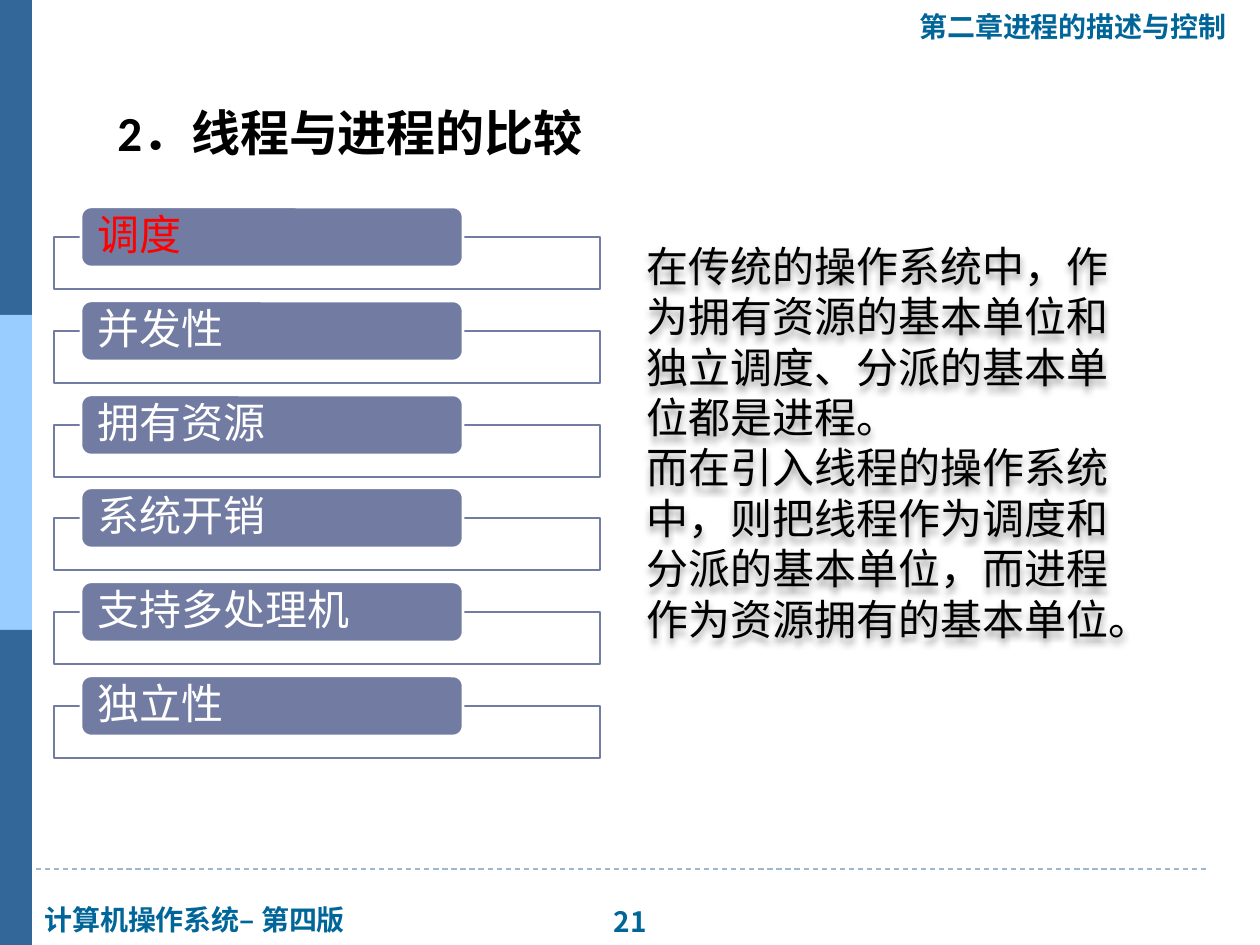
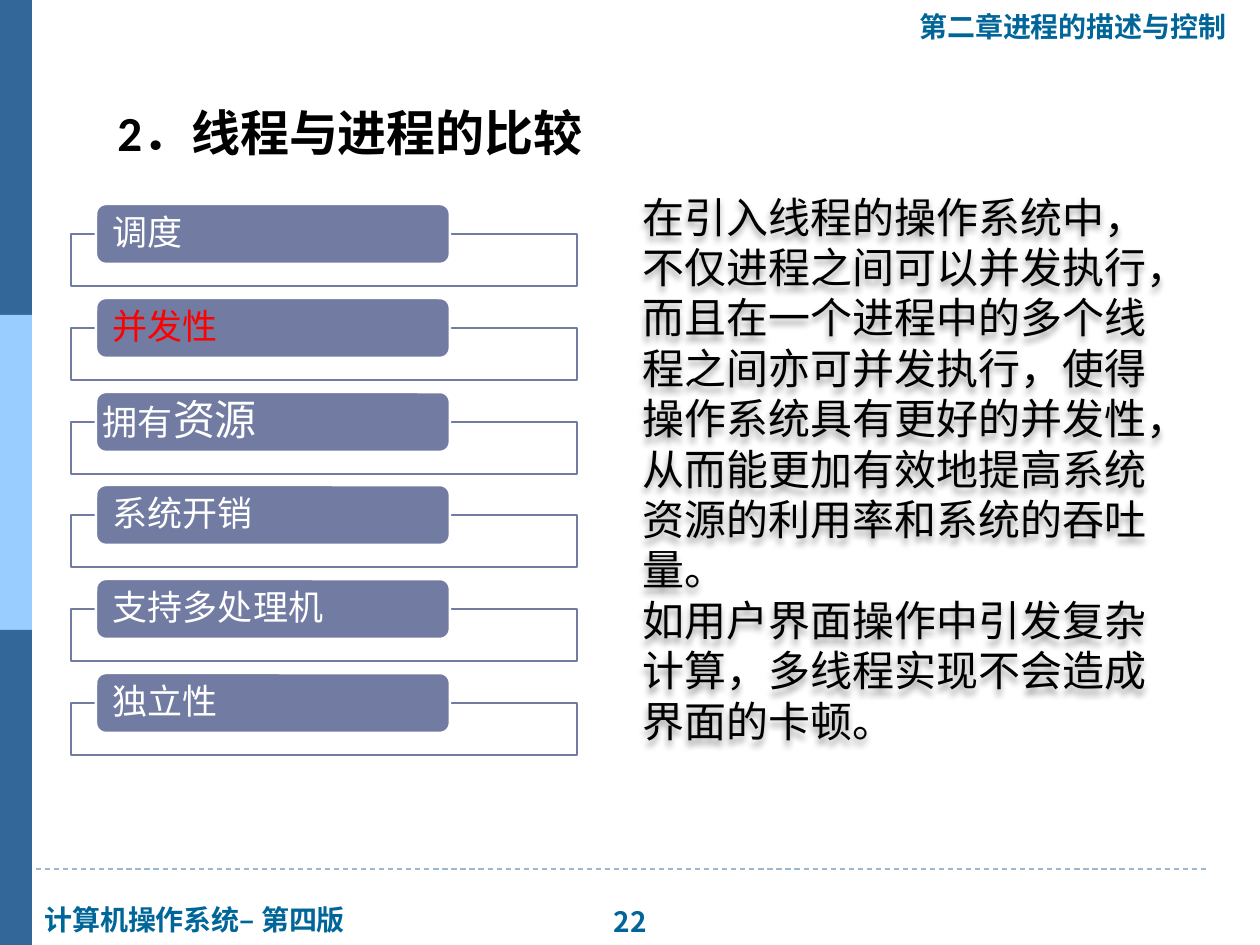
from lxml.etree import SubElement
from pptx import Presentation
from pptx.dml.color import RGBColor
from pptx.enum.dml import MSO_LINE
from pptx.enum.shapes import MSO_CONNECTOR, MSO_SHAPE
from pptx.enum.text import MSO_ANCHOR, PP_ALIGN
from pptx.oxml.ns import qn
from pptx.util import Emu, Pt

# Shared look
PX_PER_INCH = 126
NAVY = RGBColor(0x33, 0x66, 0x99)
SKY = RGBColor(0x99, 0xCC, 0xFF)
TEAL = RGBColor(0x00, 0x66, 0x99)
RULE = RGBColor(0x9F, 0xB8, 0xCD)
SLATE = RGBColor(0x72, 0x7C, 0xA3)
WHITE = RGBColor(0xFF, 0xFF, 0xFF)
BLACK = RGBColor(0x00, 0x00, 0x00)
RED = RGBColor(0xFF, 0x00, 0x00)
CJK_FONT = "Noto Sans CJK JP"

# Shared wording
BOOK = "计算机操作系统– 第四版"
CHAPTER = "第二章进程的描述与控制"
TITLE = "2．线程与进程的比较"
ASPECTS = ["调度", "并发性", "拥有资源", "系统开销", "支持多处理机", "独立性"]

# Vertical rhythm of the aspect list
FIRST_TO_LAST = 469
PILL_HEIGHT = 60
FRAME_DROP = 30
FRAME_HEIGHT = 52

SCHEDULING = [
    "在传统的操作系统中，作为拥有资源的基本单位和独立调度、分派的基本单位都是进程。",
    "而在引入线程的操作系统中，则把线程作为调度和分派的基本单位，而进程作为资源拥有的基本单位。",
]
CONCURRENCY = [
    "在引入线程的操作系统中，不仅进程之间可以并发执行，而且在一个进程中的多个线程之间亦可并发执行，"
    "使得操作系统具有更好的并发性，从而能更加有效地提高系统资源的利用率和系统的吞吐量。",
    "如用户界面操作中引发复杂计算，多线程实现不会造成界面的卡顿。",
]


def px(length):
    return Emu(round(length * 914400 / PX_PER_INCH))


def write_text(shape, paragraphs, size=16, font="Arial", color=BLACK, bold=False,
               align=PP_ALIGN.LEFT, wrap=True, line_spacing=None):
    """Each paragraph is a string or a list of (text, size) runs."""
    frame = shape.text_frame
    frame.word_wrap = wrap
    for index, content in enumerate(paragraphs):
        paragraph = frame.paragraphs[0] if index == 0 else frame.add_paragraph()
        paragraph.alignment = align
        if line_spacing:
            paragraph.line_spacing = line_spacing
        runs = [(content, size)] if isinstance(content, str) else content
        for words, points in runs:
            run = paragraph.add_run()
            run.text = words
            run.font.size = Pt(points)
            run.font.name = font
            run.font.bold = bold
            run.font.color.rgb = color


def add_text(slide, box, paragraphs, **text_format):
    text = slide.shapes.add_textbox(*map(px, box))
    write_text(text, paragraphs, **text_format)
    return text


def add_block(shapes, kind, box, fill, outline=None):
    block = shapes.add_shape(kind, *map(px, box))
    block.shadow.inherit = False
    block.fill.solid()
    block.fill.fore_color.rgb = fill
    if outline is None:
        block.line.fill.background()
    else:
        block.line.color.rgb = outline
        block.line.width = Pt(1.5)
    return block


def add_text_shadow(text):
    effects = SubElement(text._element.spPr, qn("a:effectLst"))
    shadow = SubElement(effects, qn("a:outerShdw"), blurRad="50800", dist="38100",
                        dir="5400000", algn="t", rotWithShape="0")
    black = SubElement(shadow, qn("a:prstClr"), val="black")
    SubElement(black, qn("a:alpha"), val="40000")


def add_footer_rule(slide):
    rule = slide.shapes.add_connector(MSO_CONNECTOR.STRAIGHT, px(0), px(869), px(1208), px(869))
    rule.line.color.rgb = RULE
    rule.line.width = Pt(0.75)
    rule.line.dash_style = MSO_LINE.DASH
    SubElement(rule._element.spPr, qn("a:effectLst"))


def add_base_slide(deck, number):
    slide = deck.slides.add_slide(deck.slide_layouts[6])
    add_footer_rule(slide)
    # Side bands
    for index, color in enumerate([NAVY, SKY, NAVY]):
        add_block(slide.shapes, MSO_SHAPE.RECTANGLE, (0, index * 315, 32, 315), color)
    # Header, footer and title
    marginal = dict(color=TEAL, bold=True, wrap=False)
    add_text(slide, (32, 896, 334, 47), [BOOK], **marginal)
    add_text(slide, (596, 898, 68, 47), [str(number)], font=CJK_FONT,
             align=PP_ALIGN.CENTER, **marginal)
    add_text(slide, (907, 3, 336, 47), [CHAPTER], **marginal)
    add_text(slide, (105, 96, 586, 72), [TITLE], size=28, font="Calibri", bold=True)
    return slide


def add_aspect_list(slide, left, top, width, size, current, mixed_runs=None):
    """Draw the aspects as labelled frames, with the current one in red."""
    shapes = slide.shapes.add_group_shape().shapes
    mixed_runs = mixed_runs or {}
    for row, aspect in enumerate(ASPECTS):
        pill_top = top + round(row * FIRST_TO_LAST / (len(ASPECTS) - 1))
        add_block(shapes, MSO_SHAPE.RECTANGLE,
                  (left, pill_top + FRAME_DROP, width, FRAME_HEIGHT), WHITE, SLATE)
        pill = add_block(shapes, MSO_SHAPE.ROUNDED_RECTANGLE,
                         (left + round(width * 0.05), pill_top, round(width * 0.7), PILL_HEIGHT),
                         SLATE, WHITE)
        label = pill.text_frame
        label.vertical_anchor = MSO_ANCHOR.MIDDLE
        label.margin_left = label.margin_right = px(4 if aspect in mixed_runs else 14)
        label.margin_top = label.margin_bottom = 0
        write_text(pill, [mixed_runs.get(aspect, aspect)], size=size, font="Calibri",
                   color=RED if aspect == current else WHITE, line_spacing=0.9)


def add_explanation(slide, box, paragraphs):
    add_text_shadow(add_text(slide, box, paragraphs, size=24))


def main():
    deck = Presentation()
    deck.slide_width, deck.slide_height = px(1260), px(945)

    # Scheduling
    slide = add_base_slide(deck, 21)
    add_aspect_list(slide, 54, 207, 546, 24, "调度")
    add_explanation(slide, (634, 234, 515, 420), SCHEDULING)

    # Concurrency
    slide = add_base_slide(deck, 22)
    add_aspect_list(slide, 71, 204, 506, 20, "并发性",
                    {"拥有资源": [("拥有", 20), ("资源", 24)]})
    add_explanation(slide, (630, 185, 556, 624), CONCURRENCY)

    deck.save("out.pptx")


if __name__ == "__main__":
    main()
